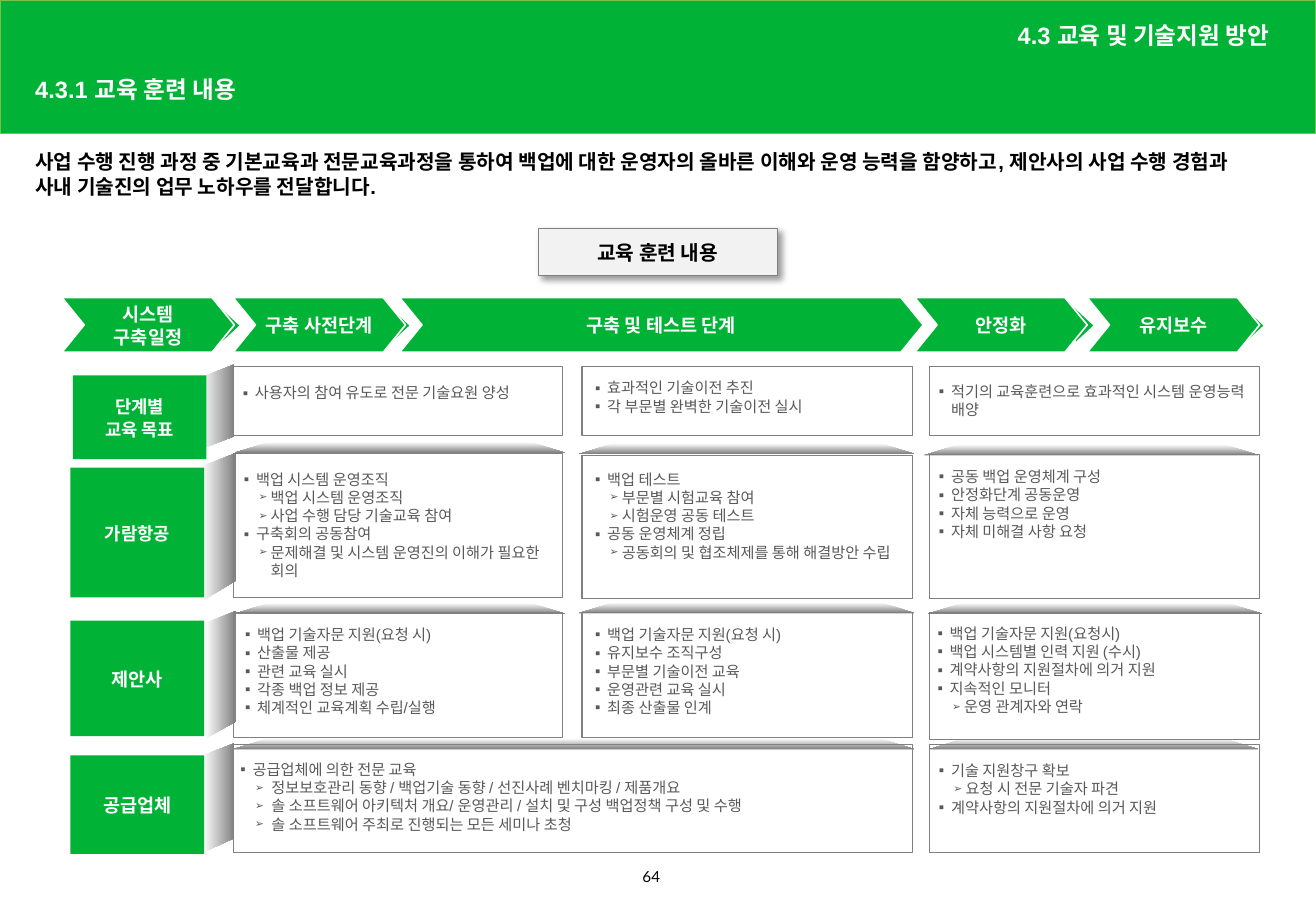
from lxml.etree import SubElement
from pptx import Presentation
from pptx.dml.color import RGBColor
from pptx.enum.shapes import MSO_SHAPE
from pptx.enum.text import MSO_ANCHOR, MSO_AUTO_SIZE, PP_ALIGN
from pptx.oxml.ns import qn
from pptx.util import Pt

GREEN, GRAY, WHITE, BLACK, TEXT_GRAY = "00B336", "808080", "FFFFFF", "000000", "595959"

TITLE = "4.3.1 교육 훈련 내용"
SECTION = "4.3 교육 및 기술지원 방안"
SUMMARY = ("사업 수행 진행 과정 중 기본교육과 전문교육과정을 통하여 백업에 대한 운영자의 올바른 이해와 "
           "운영 능력을 함양하고, 제안사의 사업 수행 경험과 사내 기술진의 업무 노하우를 전달합니다.")
CAPTION = "교육 훈련 내용"
PAGE_NUMBER = "64"

# level: marker, left margin, hanging width, marker percent
BULLETS = [("▪", 7.2, 7.2, 100), ("➢", 15.84, 7.2, 70), ("➢", 18.4, 9.76, 70)]

PHASES = [
    ("시스템\n구축일정", 36.7, 102.2, 130.3),
    ("구축 사전단계", 138.2, 102.2, 231.1),
    ("구축 및 테스트 단계", 236.9, 310.3, 535),
    ("안정화", 542.2, 102.2, 636.5),
    ("유지보수", 644.4, 102.2, 737.3),
]

ROWS = [
    {"label": ["단계별", "교육 목표"], "size": 10.5, "label_box": (43.2, 222.5, 79.2, 49.7),
     "side": (118.8, 139, 216, 223.9, 266.4, 258.5),
     "cells": [
         {"box": (138.2, 217.4, 195.1, 41), "text_at": (136.8, 223.9, 195.1),
          "items": [(0, "사용자의 참여 유도로 전문 기술요원 양성")]},
         {"box": (344.9, 217.4, 195.8, 41), "text_at": (345.6, 221, 195.1),
          "items": [(0, "효과적인 기술이전 추진"), (0, "각 부문별 완벽한 기술이전 실시")]},
         {"box": (550.8, 217.4, 195.8, 41), "text_at": (549.4, 223.2, 195.1),
          "items": [(0, "적기의 교육훈련으로 효과적인 시스템 운영능력 배양")]},
     ]},
    {"label": ["가람항공"], "size": 10.5, "label_box": (41.8, 277.2, 79.2, 77),
     "side": (119.5, 139.7, 268.6, 276.5, 356.4, 344.2),
     "cells": [
         {"box": (138.2, 268.6, 195.1, 85.7), "flap": (139, 262.1, 195.8), "text_at": (137.5, 275, 195.8),
          "items": [(0, "백업 시스템 운영조직"), (1, "백업 시스템 운영조직"),
                    (1, "사업 수행 담당 기술교육 참여"), (0, "구축회의 공동참여"),
                    (1, "문제해결 및 시스템 운영진의 이해가 필요한 회의")]},
         {"box": (344.9, 270, 195.8, 85), "flap": (343.4, 262.8, 198.7), "text_at": (345.6, 275, 195.1),
          "items": [(0, "백업 테스트"), (1, "부문별 시험교육 참여"), (1, "시험운영 공동 테스트"),
                    (0, "공동 운영체계 정립"), (1, "공동회의 및 협조체제를 통해 해결방안 수립")]},
         {"box": (550.8, 269.3, 195.8, 85.7), "flap": (547.9, 263.5, 198), "text_at": (549.4, 273.6, 195.1),
          "items": [(0, "공동 백업 운영체계 구성"), (0, "안정화단계 공동운영"),
                    (0, "자체 능력으로 운영"), (0, "자체 미해결 사항 요청")]},
     ]},
    {"label": ["제안사"], "size": 11, "label_box": (41.8, 367.9, 79.2, 68.4),
     "side": (121.7, 139.7, 362.2, 369.4, 437.8, 427.7),
     "cells": [
         {"box": (138.2, 362.9, 195.1, 74.2), "flap": (139, 357.5, 195.8), "text_at": (138.2, 367.2, 204.5),
          "items": [(0, "백업 기술자문 지원(요청 시)"), (0, "산출물 제공"), (0, "관련 교육 실시"),
                    (0, "각종 백업 정보 제공"), (0, "체계적인 교육계획 수립/실행")]},
         {"box": (344.9, 362.9, 195.8, 74.2), "flap": (343.4, 357.1, 198.7), "text_at": (345.6, 367.2, 195.1),
          "items": [(0, "백업 기술자문 지원(요청 시)"), (0, "유지보수 조직구성"), (0, "부문별 기술이전 교육"),
                    (0, "운영관련 교육 실시"), (0, "최종 산출물 인계")]},
         {"box": (550.8, 362.9, 195.8, 75.6), "flap": (550.1, 357.5, 198), "text_at": (548.6, 366.5, 200.2),
          "items": [(0, "백업 기술자문 지원(요청시)"), (0, "백업 시스템별 인력 지원 (수시)"),
                    (0, "계약사항의 지원절차에 의거 지원"), (0, "지속적인 모니터"),
                    (1, "운영 관계자와 연락")]},
     ]},
    {"label": ["공급업체"], "size": 11, "label_box": (41.8, 447.8, 79.2, 58.3),
     "side": (120.2, 139, 440.6, 447.8, 505.4, 496.8),
     "cells": [
         {"box": (138.2, 441.4, 402.5, 64.1), "flap": (138.2, 437.8, 403.9), "text_at": (135.4, 447.1, 402.5),
          "items": [(0, "공급업체에 의한 전문 교육"),
                    (2, "정보보호관리 동향 / 백업기술 동향 / 선진사례 벤치마킹 / 제품개요"),
                    (2, "솔 소프트웨어 아키텍처 개요/ 운영관리 / 설치 및 구성 백업정책 구성 및 수행"),
                    (2, "솔 소프트웨어 주최로 진행되는 모든 세미나 초청")]},
         {"box": (550.8, 441.4, 195.8, 64.1), "flap": (550.8, 437.8, 195.1), "text_at": (549.4, 447.8, 195.1),
          "items": [(0, "기술 지원창구 확보"), (1, "요청 시 전문 기술자 파견"),
                    (0, "계약사항의 지원절차에 의거 지원")]},
     ]},
]


def color(value):
    return RGBColor.from_string(value)


def write_text(shape, lines, size=9, font="Arial", ink=TEXT_GRAY, bold=False, align=PP_ALIGN.LEFT,
               anchor=MSO_ANCHOR.TOP, spacing=1.0, wrap=True, grow=False, inset=(7.2, 3.6)):
    frame = shape.text_frame
    frame.word_wrap = wrap
    frame.auto_size = MSO_AUTO_SIZE.SHAPE_TO_FIT_TEXT if grow else MSO_AUTO_SIZE.NONE
    frame.vertical_anchor = anchor
    frame.margin_left = frame.margin_right = Pt(inset[0])
    frame.margin_top = frame.margin_bottom = Pt(inset[1])
    for index, line in enumerate(lines):
        level, text = line if isinstance(line, tuple) else (None, line)
        paragraph = frame.paragraphs[0] if index == 0 else frame.add_paragraph()
        paragraph.text = text
        properties = paragraph._p.get_or_add_pPr()
        if level is None:
            properties.set("marL", "0")
            properties.set("indent", "0")
            SubElement(properties, qn("a:buNone"))
        else:
            marker, margin, hanging, percent = BULLETS[level]
            paragraph.level = min(level, 1)
            properties.set("marL", str(int(Pt(margin))))
            properties.set("indent", str(-int(Pt(hanging))))
            SubElement(properties, qn("a:buSzPct"), val=str(percent * 1000))
            SubElement(properties, qn("a:buFont"), typeface="Arial")
            SubElement(properties, qn("a:buChar"), char=marker)
        paragraph.alignment = align
        paragraph.line_spacing = spacing
        paragraph.space_before = Pt(0)
        for run in paragraph.runs:
            run.font.size, run.font.name, run.font.bold = Pt(size), font, bold
            run.font.color.rgb = color(ink)


def paint(shape, fill=None, line=None, width=0.75):
    shape.shadow.inherit = False
    if fill:
        shape.fill.solid()
        shape.fill.fore_color.rgb = color(fill)
    else:
        shape.fill.background()
    if line:
        shape.line.color.rgb = color(line)
        shape.line.width = Pt(width)
    else:
        shape.line.fill.background()


def add_box(slide, box, kind=MSO_SHAPE.RECTANGLE, **style):
    shape = slide.shapes.add_shape(kind, *map(Pt, box))
    paint(shape, **style)
    return shape


def add_outline(slide, points, fill=None, angle=None):
    corners = [(Pt(x), Pt(y)) for x, y in points]
    builder = slide.shapes.build_freeform(*corners[0])
    builder.add_line_segments(corners[1:], close=True)
    shape = builder.convert_to_shape()
    paint(shape, fill)
    if angle is not None:
        shape.fill.gradient()
        shape.fill.gradient_angle = angle
        for stop, tone in zip(shape.fill.gradient_stops, (WHITE, GRAY)):
            stop.color.rgb = color(tone)


def fill_placeholder(shape, box, text, **style):
    shape.left, shape.top, shape.width, shape.height = map(Pt, box)
    write_text(shape, [text], bold=True, **style)


def add_phase(slide, text, left, width, tip):
    add_outline(slide, [(tip, 182.2), (tip + 11.5, 193), (tip + 1.4, 202.3)], GREEN)
    chevron = add_box(slide, (left, 176.4, width, 32.4), MSO_SHAPE.CHEVRON, fill=GREEN, line=WHITE, width=1)
    chevron.adjustments[0] = 0.407
    write_text(chevron, [text], size=11, ink=WHITE, bold=True, align=PP_ALIGN.CENTER,
               anchor=MSO_ANCHOR.MIDDLE, spacing=1.05, inset=(0, 0))


def add_row(slide, row):
    for cell in row["cells"]:
        if "flap" in cell:
            left, top, width = cell["flap"]
            add_outline(slide, [(left, top + 6.3), (left + 20.4, top), (left + width - 20.4, top),
                                (left + width, top + 6.3)], angle=270)
    left, right, top_right, top_left, bottom_left, bottom_right = row["side"]
    add_outline(slide, [(right, top_right), (left, top_left), (left, bottom_left), (right, bottom_right)], angle=0)
    for cell in row["cells"]:
        add_box(slide, cell["box"], line=GRAY)
        left, top, width = cell["text_at"]
        height = 7.2 + 10.8 * len(cell["items"])
        textbox = slide.shapes.add_textbox(Pt(left), Pt(top), Pt(width), Pt(height))
        write_text(textbox, cell["items"], grow=True)
    label = add_box(slide, row["label_box"], fill=GREEN)
    write_text(label, row["label"], size=row["size"], ink=WHITE, bold=True, align=PP_ALIGN.CENTER,
               anchor=MSO_ANCHOR.MIDDLE, spacing=1.05, wrap=False)


def main():
    presentation = Presentation()
    presentation.slide_width, presentation.slide_height = Pt(780), Pt(540)
    slide = presentation.slides.add_slide(presentation.slide_layouts[3])
    band = add_box(slide, (0, 0, 780, 79.2), fill=GREEN, line="7BC144", width=1)
    slide.shapes.element.insert(2, band.element)
    title, summary, section = slide.placeholders
    heading = {"size": 14, "ink": WHITE, "anchor": MSO_ANCHOR.MIDDLE, "spacing": 0.9}
    fill_placeholder(title, (13.7, 42.5, 460.8, 22.3), TITLE, **heading)
    fill_placeholder(summary, (13.7, 85, 745.2, 85), SUMMARY, size=12, ink=BLACK)
    fill_placeholder(section, (414, 7.9, 345.6, 28.1), SECTION, align=PP_ALIGN.RIGHT, **heading)
    for row in reversed(ROWS):
        add_row(slide, row)
    for phase in PHASES:
        add_phase(slide, *phase)
    caption = add_box(slide, (319, 135.4, 141.8, 28.1), fill="F2F2F2", line=GRAY)
    write_text(caption, [CAPTION], size=12, ink=BLACK, bold=True, align=PP_ALIGN.CENTER, anchor=MSO_ANCHOR.MIDDLE)
    effects = caption.element.spPr.find(qn("a:effectLst"))
    shadow = SubElement(effects, qn("a:outerShdw"), blurRad=str(int(Pt(4))), dist=str(int(Pt(3))),
                        dir="2700000", algn="tl", rotWithShape="0")
    shade = SubElement(shadow, qn("a:srgbClr"), val=BLACK)
    SubElement(shade, qn("a:alpha"), val="40000")
    page = slide.shapes.add_textbox(Pt(373.7), Pt(510.5), Pt(32.4), Pt(20.2))
    write_text(page, [PAGE_NUMBER], font="Lato", ink=BLACK)
    presentation.save("out.pptx")


if __name__ == "__main__":
    main()
